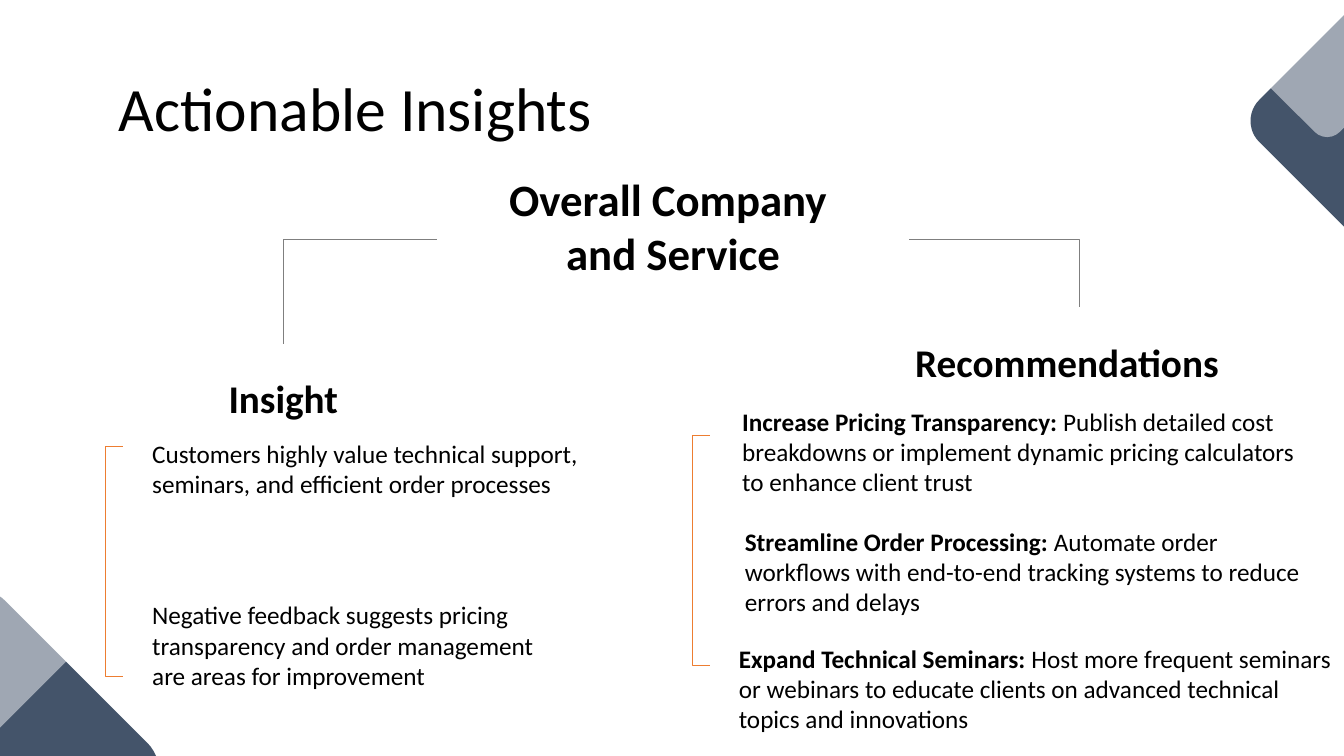
from pptx import Presentation
from pptx.dml.color import RGBColor as RGB
from pptx.enum.shapes import MSO_CONNECTOR as CONN, MSO_SHAPE as SHAPE
from pptx.enum.text import MSO_ANCHOR as ANCHOR, PP_ALIGN as ALIGN
from pptx.oxml.ns import qn
from pptx.util import Inches, Pt
from lxml.etree import SubElement

HUES = {"ink": "000000", "navy": "44546A", "veil": "FFFFFF",
        "accent": "ED7D31", "link": "7F7F7F"}
COLS, ROWS = 80, 45


class Board:
    font = "Calibri"
    line = 0.75
    round = 0.147

    def __init__(self, deck):
        self.slide = deck.slides.add_slide(deck.slide_layouts[6])
        self.shapes = self.slide.shapes
        self.wide, self.high = deck.slide_width, deck.slide_height

    def place(self, x, y, w, h):
        col, row = self.wide / COLS, self.high / ROWS
        return [int(n) for n in (x * col, y * row, w * col, h * row)]

    def hue(self, name):
        return RGB.from_string(HUES[name])

    def text(self, area, lines, size, pad=0.03, align=ALIGN.LEFT,
             anchor=ANCHOR.TOP, gap=1.0):
        box = self.shapes.add_textbox(*self.place(*area))
        frame = box.text_frame
        form = {"word_wrap": True, "vertical_anchor": anchor,
                "margin_left": Inches(0.13), "margin_right": Inches(0.13),
                "margin_top": Inches(pad), "margin_bottom": Inches(pad)}
        for key, val in form.items():
            setattr(frame, key, val)
        for i, parts in enumerate(lines):
            para = frame.add_paragraph() if i else frame.paragraphs[0]
            para.alignment, para.line_spacing = align, gap
            for words, bold in parts:
                run = para.add_run()
                run.text = words
                for key, val in {"name": self.font, "size": Pt(size), "bold": bold}.items():
                    setattr(run.font, key, val)
                run.font.color.rgb = self.hue("ink")
        return box

    def gem(self, x, y, side, hue, alpha=100):
        area = self.place(x - side / 2, y - side / 2, side, side)
        gem = self.shapes.add_shape(SHAPE.ROUNDED_RECTANGLE, *area)
        gem.adjustments[0] = self.round
        gem.rotation = 45
        gem.shadow.inherit = False
        gem.fill.solid()
        gem.fill.fore_color.rgb = self.hue(hue)
        gem.line.fill.background()
        if alpha < 100:
            tone = gem.fill._xPr.find(qn("a:solidFill"))[0]
            SubElement(tone, qn("a:alpha")).set("val", str(alpha * 1000))

    def brace(self, x, y):
        brace = self.shapes.add_shape(SHAPE.LEFT_BRACKET, *self.place(x, y, 1.02, 13.68))
        brace.adjustments[0] = 0
        brace.shadow.inherit = False
        brace.fill.background()
        self.stroke(brace, "accent")

    def stroke(self, shape, hue):
        shape.line.color.rgb = self.hue(hue)
        shape.line.width = Pt(self.line)

    def elbow(self, start, side, end):
        x = start.left + (start.width if side == 3 else 0)
        y = start.top + start.height // 2
        link = self.shapes.add_connector(
            CONN.ELBOW, x, y, end.left + end.width // 2, end.top)
        link.begin_connect(start, side)
        link.end_connect(end, 0)
        props = link._element.spPr
        props.find(qn("a:prstGeom")).set("prst", "bentConnector2")
        self.stroke(link, "link")
        SubElement(props, qn("a:effectLst"))


def main():
    deck = Presentation()
    deck.slide_width, deck.slide_height = Inches(40 / 3), Inches(7.5)
    board = Board(deck)

    for x, y, side, inner in (
            (-1.41, 45.96, 16.86, (-1.41, 37.6, 10.08)),
            (82.23, 7.2, 12.06, (79, 3.51, 7.2))):
        board.gem(x, y, side, "navy")
        board.gem(*inner, "veil", 49)

    board.text((6.3, 3.9, 67.4, 5.04), [[("Actionable Insights", False)]],
               44, pad=0.13, gap=0.9)
    root = board.text((26, 11.46, 28.14, 5.58),
                      [[("Overall Company ", True)], [("and Service", True)]],
                      32, pad=0.07, align=ALIGN.CENTER, anchor=ANCHOR.BOTTOM)

    for side, x, y, name, align in (
            (1, 6.3, 20.46, "Insight", ALIGN.CENTER),
            (3, 53.7, 18.3, "Recommendations", ALIGN.LEFT)):
        head = board.text((x, y, 21.12, 4.8), [[(name, True)]], 28,
                          align=align, anchor=ANCHOR.BOTTOM)
        board.elbow(root, side, head)

    for x, y, w, lead, body in (
            (8.28, 25.92, 28.14, "",
             "Customers highly value technical support, seminars, and efficient order processes"),
            (8.28, 35.52, 25.92, "",
             "Negative feedback suggests pricing transparency and order management "
             "are areas for improvement"),
            (43.4, 24, 36, "Increase Pricing Transparency: ",
             "Publish detailed cost breakdowns or implement dynamic pricing calculators "
             "to enhance client trust"),
            (43.56, 31.14, 35.64, "Streamline Order Processing: ",
             "Automate order workflows with end-to-end tracking systems to reduce "
             "errors and delays"),
            (43.2, 38.1, 37.62, "Expand Technical Seminars: ",
             "Host more frequent seminars or webinars to educate clients on advanced "
             "technical topics and innovations")):
        parts = [(lead, True)] if lead else []
        board.text((x, y, w, 4.08), [parts + [(body, False)]], 18)

    for x, y in ((6.3, 26.58), (41.22, 25.92)):
        board.brace(x, y)

    deck.save("out.pptx")


if __name__ == "__main__":
    main()
